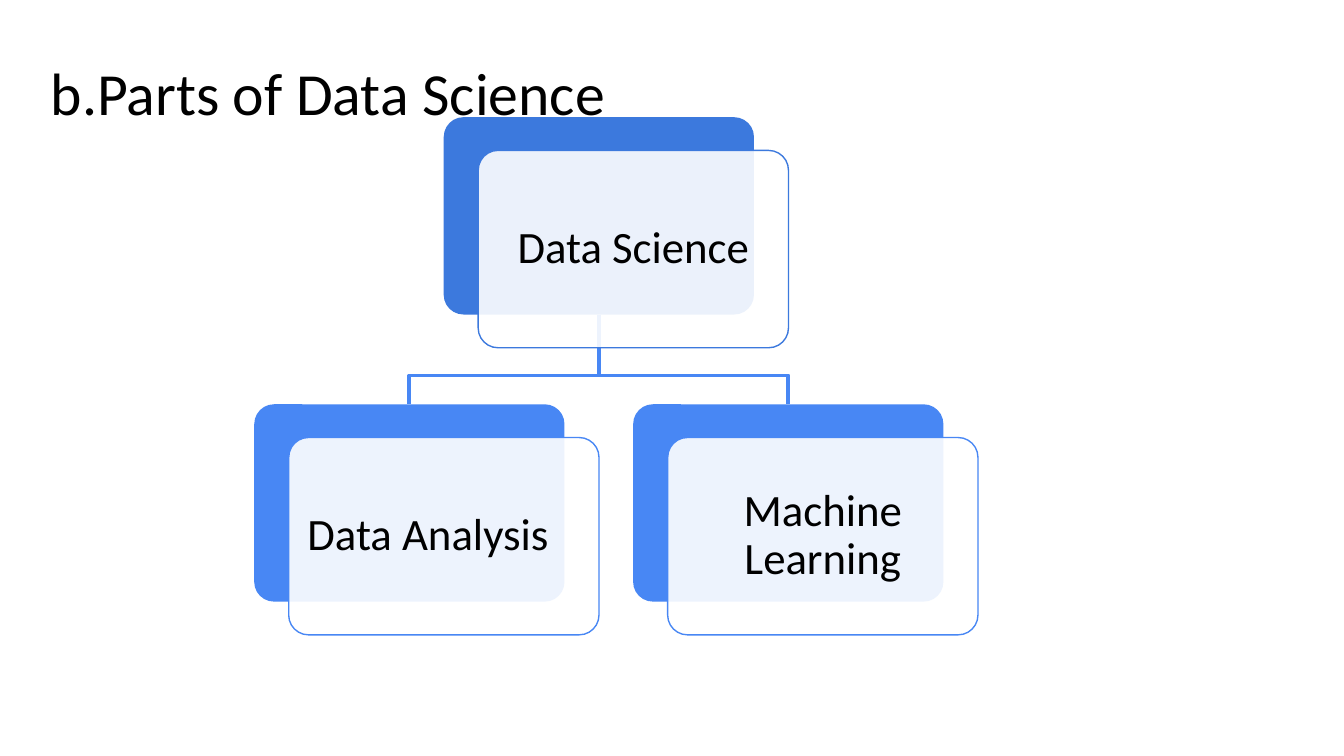
"""Build the slide showing the parts of data science as a small hierarchy."""
from dataclasses import dataclass

import lxml.etree
import pptx
import pptx.dml.color
import pptx.enum.shapes
import pptx.enum.text
import pptx.oxml.ns
import pptx.shapes.autoshape
import pptx.slide
import pptx.util

Pt = pptx.util.Pt
RGBColor = pptx.dml.color.RGBColor

BLACK = RGBColor(0x00, 0x00, 0x00)
WHITE = RGBColor(0xFF, 0xFF, 0xFF)
ROOT_BLUE = RGBColor(0x3C, 0x79, 0xDD)
CHILD_BLUE = RGBColor(0x48, 0x87, 0xF4)

FONT = "Calibri"
CARD_WIDTH, CARD_HEIGHT = 166.2, 105.7
PANEL_SHIFT_X, PANEL_SHIFT_Y = 18.5, 17.8
CHILD_LEFT, CHILD_STEP = 136.2, 203
ROOT_TOP, CHILD_TOP = 62.8, 216.6
ELBOW_Y = 201.2


@dataclass(frozen=True)
class Card:
    label: str
    left: float
    top: float
    color: RGBColor
    left_inset: float = 7.2
    right_inset: float = 7.2

    @property
    def center_x(self) -> float:
        return self.left + CARD_WIDTH / 2


ROOT = Card("Data Science", CHILD_LEFT + CHILD_STEP / 2, ROOT_TOP, ROOT_BLUE)
CHILDREN = (
    Card("Data Analysis", CHILD_LEFT, CHILD_TOP, CHILD_BLUE, 0, 17),
    Card("Machine Learning", CHILD_LEFT + CHILD_STEP, CHILD_TOP, CHILD_BLUE),
)


def style_text(text_frame: pptx.text.text.TextFrame, size: float) -> None:
    text_frame.word_wrap = True
    text_frame.vertical_anchor = pptx.enum.text.MSO_ANCHOR.MIDDLE
    for run in text_frame.paragraphs[0].runs:
        run.font.name = FONT
        run.font.size = Pt(size)
        run.font.color.rgb = BLACK


def add_title(slide: pptx.slide.Slide, text: str) -> None:
    title = slide.shapes.title
    title.left, title.top, title.width, title.height = Pt(24.5), Pt(26.6), Pt(671), Pt(45.4)
    text_frame = title.text_frame
    text_frame.text = text
    text_frame.margin_left = text_frame.margin_right = Pt(2.7)
    text_frame.margin_top = text_frame.margin_bottom = Pt(2.7)
    text_frame.paragraphs[0].alignment = pptx.enum.text.PP_ALIGN.LEFT
    style_text(text_frame, 32)


def add_branch(slide: pptx.slide.Slide, parent: Card, child: Card) -> None:
    builder = slide.shapes.build_freeform(
        Pt(parent.center_x), Pt(parent.top + CARD_HEIGHT)
    )
    corners = (
        (parent.center_x, ELBOW_Y),
        (child.center_x, ELBOW_Y),
        (child.center_x, child.top),
    )
    builder.add_line_segments([(Pt(x), Pt(y)) for x, y in corners], close=False)
    branch = builder.convert_to_shape()
    branch.shadow.inherit = False
    branch.fill.background()
    branch.line.color.rgb = CHILD_BLUE
    branch.line.width = Pt(2)


def add_rounded_box(
    slide: pptx.slide.Slide, left: float, top: float, fill: RGBColor
) -> pptx.shapes.autoshape.Shape:
    shape = slide.shapes.add_shape(
        pptx.enum.shapes.MSO_SHAPE.ROUNDED_RECTANGLE,
        Pt(left), Pt(top), Pt(CARD_WIDTH), Pt(CARD_HEIGHT),
    )
    shape.adjustments[0] = 0.1
    shape.shadow.inherit = False
    shape.fill.solid()
    shape.fill.fore_color.rgb = fill
    shape.line.fill.background()
    return shape


def add_card(slide: pptx.slide.Slide, card: Card) -> None:
    add_rounded_box(slide, card.left, card.top, card.color)
    panel = add_rounded_box(
        slide, card.left + PANEL_SHIFT_X, card.top + PANEL_SHIFT_Y, WHITE
    )
    fill_color = panel.fill._xPr.find(".//" + pptx.oxml.ns.qn("a:srgbClr"))
    lxml.etree.SubElement(fill_color, pptx.oxml.ns.qn("a:alpha"), val="90000")
    panel.line.color.rgb = card.color
    panel.line.width = Pt(0.75)

    text_frame = panel.text_frame
    text_frame.text = card.label
    text_frame.margin_left = Pt(card.left_inset)
    text_frame.margin_right = Pt(card.right_inset)
    text_frame.margin_top = text_frame.margin_bottom = Pt(7.2)
    paragraph = text_frame.paragraphs[0]
    paragraph.alignment = pptx.enum.text.PP_ALIGN.CENTER
    paragraph.line_spacing = 0.9
    style_text(text_frame, 24)


def main() -> None:
    presentation = pptx.Presentation()
    presentation.slide_width, presentation.slide_height = Pt(720), Pt(405)
    slide = presentation.slides.add_slide(presentation.slide_layouts[5])
    add_title(slide, "b.Parts of Data Science")
    for child in reversed(CHILDREN):
        add_branch(slide, ROOT, child)
    for card in (ROOT, *CHILDREN):
        add_card(slide, card)
    presentation.save("out.pptx")


if __name__ == "__main__":
    main()
